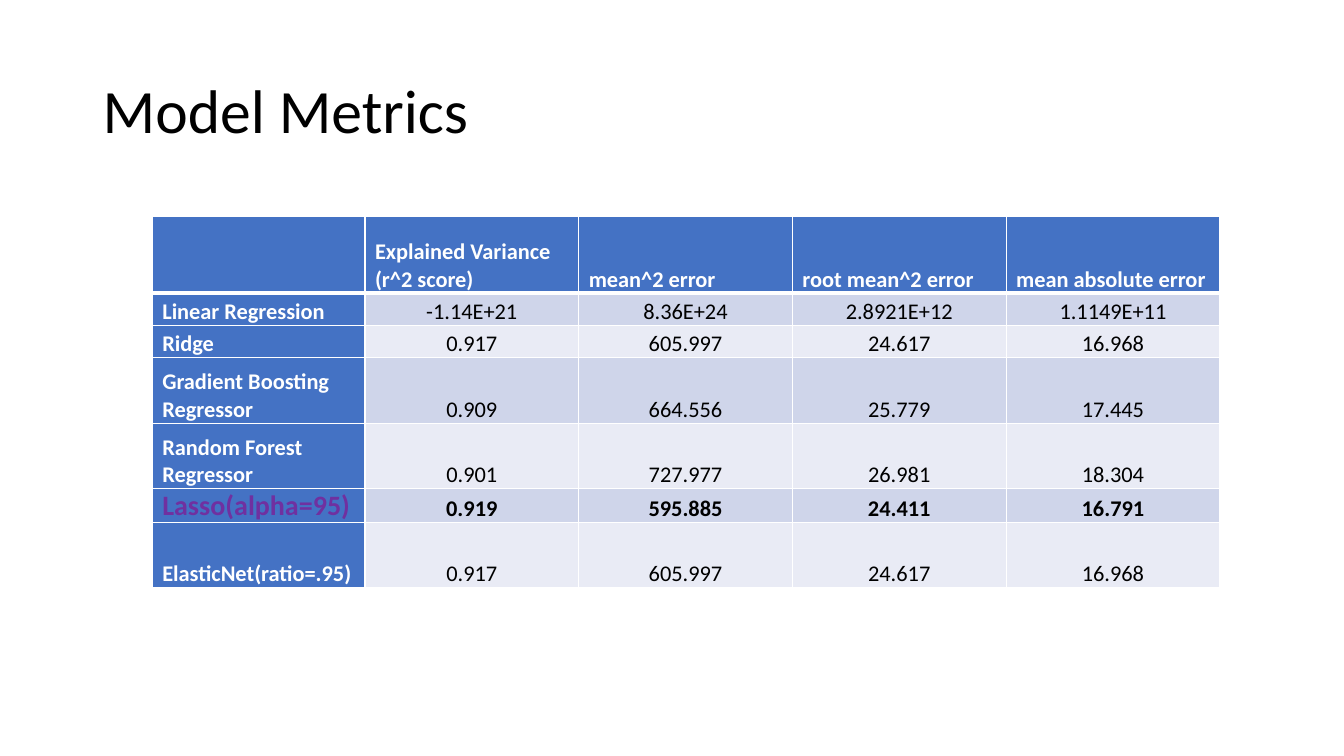
"""Build the Model Metrics slide."""
from lxml import etree
from pptx import Presentation
from pptx import util as u
from pptx.dml import color
from pptx.enum import text
from pptx.oxml import ns

COLORS = {"black": "000000", "white": "FFFFFF", "blue": "4472C4",
          "band": "CFD5EA", "light": "E9EBF5", "purple": "7030A0"}
MODELS = [
    ("Linear Regression", "-1.14E+21", "8.36E+24", "2.8921E+12", "1.1149E+11"),
    ("Ridge", "0.917", "605.997", "24.617", "16.968"),
    ("Gradient Boosting Regressor", "0.909", "664.556", "25.779", "17.445"),
    ("Random Forest Regressor", "0.901", "727.977", "26.981", "18.304"),
    ("Lasso(alpha=95)", "0.919", "595.885", "24.411", "16.791"),
    ("ElasticNet(ratio=.95)", "0.917", "605.997", "24.617", "16.968"),
]
HEADER = ("", "Explained Variance\n(r^2 score)", "mean^2 error",
          "root mean^2 error", "mean absolute error")
BEST = "Lasso(alpha=95)"
ROW_HEIGHTS = (0.76, 0.32, 0.32, 0.65, 0.65, 0.32, 0.65)
COL_WIDTHS = (2.11, 2.12, 2.12, 2.12, 2.12)


class Deck:
    """Holds the style and the current slide."""

    def __init__(self, prs, font):
        self.s = prs.slides.add_slide(prs.slide_layouts[6])
        self.font = font

    def fill_text(self, tf, words, hue, align=text.PP_ALIGN.LEFT, spacing=1.0, **fmt):
        """Fill a text frame, one paragraph per line."""
        tf.text = words
        for p in tf.paragraphs:
            p.alignment, p.line_spacing = align, spacing
            for r in p.runs:
                for name, value in {"name": self.font, **fmt}.items():
                    setattr(r.font, name, value)
                r.font.color.rgb = color.RGBColor.from_string(COLORS[hue])

    def title(self, words, box):
        """Add the slide title."""
        tf = self.s.shapes.add_textbox(*map(u.Inches, box)).text_frame
        tf.word_wrap = True
        tf.vertical_anchor = text.MSO_ANCHOR.MIDDLE
        self.fill_text(tf, words, "black", spacing=0.9, size=u.Pt(44))

    def borders(self, cell, top, bottom):
        """Draw white lines round a cell, widths in points."""
        tc_pr = cell._tc.get_or_add_tcPr()
        for i, (side, width) in enumerate(zip("LRTB", (1, 1, top, bottom))):
            ln = etree.Element(ns.qn(f"a:ln{side}"), w=str(u.Pt(width)))
            fill = etree.SubElement(ln, ns.qn("a:solidFill"))
            etree.SubElement(fill, ns.qn("a:srgbClr"), val=COLORS["white"])
            tc_pr.insert(i, ln)

    def cell(self, cell, words, fill, hue, **fmt):
        """Style and fill one table cell."""
        for name, value in {"margin_left": 0.1, "margin_right": 0.1,
                            "margin_top": 0, "margin_bottom": 0}.items():
            setattr(cell, name, u.Inches(value))
        cell.vertical_anchor = text.MSO_ANCHOR.BOTTOM
        cell.fill.solid()
        cell.fill.fore_color.rgb = color.RGBColor.from_string(COLORS[fill])
        self.fill_text(cell.text_frame, words, hue, **fmt)

    def metrics(self, left, top):
        """Add the table of model scores."""
        rows = [HEADER, *MODELS]
        size = (sum(COL_WIDTHS), sum(ROW_HEIGHTS))
        table = self.s.shapes.add_table(
            len(rows), len(HEADER), *map(u.Inches, (left, top, *size))).table
        table.first_col = True
        for column, width in zip(table.columns, COL_WIDTHS):
            column.width = u.Inches(width)
        for row, height in zip(table.rows, ROW_HEIGHTS):
            row.height = u.Inches(height)
        for i, row in enumerate(rows):
            best = row[0] == BEST
            for j, words in enumerate(row):
                cell = table.cell(i, j)
                if i == 0 or j == 0:
                    self.cell(cell, words, "blue", "purple" if best else "white",
                              size=u.Pt(20 if best else 16), bold=True)
                else:
                    self.cell(cell, words, "band" if i % 2 else "light", "black",
                              align=text.PP_ALIGN.CENTER, size=u.Pt(16), bold=best)
                self.borders(cell, 3 if i == 1 else 1, 3 if i == 0 else 1)


prs = Presentation()
prs.slide_width, prs.slide_height = u.Inches(13.33), u.Inches(7.5)
deck = Deck(prs, "Calibri")
deck.title("Model Metrics", (0.92, 0.4, 11.5, 1.45))
deck.metrics(1.51, 2.15)
prs.save("out.pptx")
